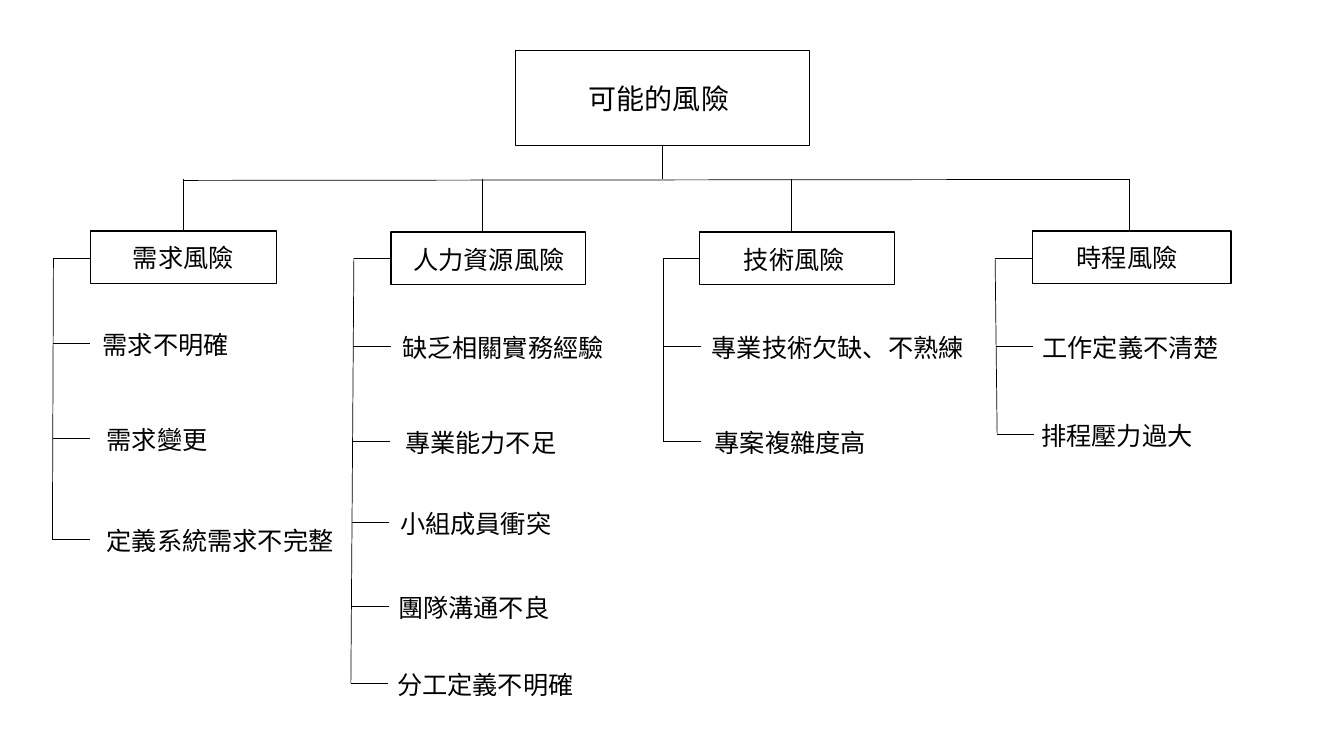
from dataclasses import dataclass

from pptx import Presentation
from pptx.dml.color import RGBColor
from pptx.enum.shapes import MSO_CONNECTOR as LINK, MSO_SHAPE as SHAPE
from pptx.enum.text import MSO_ANCHOR as ANCHOR, PP_ALIGN as ALIGN
from pptx.oxml.ns import qn
from pptx.util import Inches, Pt
from lxml.etree import SubElement

BLACK = RGBColor(0, 0, 0)
WHITE = RGBColor(255, 255, 255)
FRAME = dict(word_wrap=True, vertical_anchor=ANCHOR.TOP,
             margin_left=Inches(0.1), margin_right=Inches(0.1),
             margin_top=Inches(0.05), margin_bottom=Inches(0.05))
BAR_Y = 1.78   # bar that joins the branches
HEAD_Y = 2.56  # middle of the branch boxes
BOX_H = 0.52
TEXT_H = 0.4
TICK = 0.37


@dataclass
class Branch:
    """One kind of risk: box, heading, spine and leaves."""
    name: str
    label: tuple   # left, top, width
    box: tuple     # left, top, width
    stem: float
    spine: tuple   # x at the top and at the foot
    leaves: list   # text, left, top, width


BRANCHES = [
    Branch("需求風險", (1.22, 2.35, 1.21), (0.9, 2.29, 1.84), 1.82, (0.53, 0.52), [
        ("需求不明確", 0.92, 3.22, 1.75),
        ("需求變更", 0.96, 4.16, 1.89),
        ("定義系統需求不完整", 0.96, 5.16, 2.49)]),
    Branch("人力資源風險", (4, 2.37, 2), (3.88, 2.3, 1.93), 4.78, (3.51, 3.48), [
        ("缺乏相關實務經驗", 3.89, 3.25, 2.5),
        ("專業能\uf98a不足", 3.92, 4.19, 2.5),
        ("小組成員衝突", 3.87, 4.99, 2.31),
        ("團隊溝通不\uf97c", 3.85, 5.83, 2.31),
        ("分工定義不明確", 3.84, 6.59, 2.31)]),
    Branch("技術風險", (7.28, 2.37, 2), (6.94, 2.3, 1.93), 7.85, (6.58, 6.58), [
        ("專業技術欠缺、不熟練", 6.96, 3.25, 2.88),
        ("專案複雜度高", 6.99, 4.19, 2.5)]),
    Branch("時程風險", (10.58, 2.35, 1.39), (10.24, 2.29, 1.97), 11.2, (9.87, 9.89), [
        ("工作定義不清楚", 10.24, 3.25, 3.19),
        ("排程壓\uf98a過大", 10.23, 4.12, 2.16)]),
]


def apply(item, values):
    """Set attributes from a dict."""
    for key, value in values.items():
        setattr(item, key, value)


def write(shape, text, size):
    """Put one line of black text in a shape."""
    frame = shape.text_frame
    frame.text = text
    apply(frame, FRAME)
    line = frame.paragraphs[0]
    line.alignment = ALIGN.LEFT
    apply(line.runs[0].font, dict(name="Calibri", size=Pt(size)))
    line.runs[0].font.color.rgb = BLACK


def add_text(slide, text, left, top, width):
    """Add a text box for a heading or a leaf."""
    area = map(Inches, (left, top, width, TEXT_H))
    write(slide.shapes.add_textbox(*area), text, 18)


def add_box(slide, left, top, width, height, weight, fill=None):
    """Add an outlined box."""
    area = map(Inches, (left, top, width, height))
    box = slide.shapes.add_shape(SHAPE.RECTANGLE, *area)
    box.shadow.inherit = False
    if fill is None:
        box.fill.background()
    else:
        box.fill.solid()
        box.fill.fore_color.rgb = fill
    box.line.color.rgb = BLACK
    box.line.width = Pt(weight)


def add_line(slide, *ends):
    """Add a thin line from x, y to x, y."""
    line = slide.shapes.add_connector(LINK.STRAIGHT, *map(Inches, ends))
    line.line.color.rgb = BLACK
    line.line.width = Pt(0.5)
    SubElement(line._element.spPr, qn("a:effectLst"))


def add_root(slide):
    """Add the title, its box and the bar below."""
    title = slide.shapes.title
    apply(title, dict(left=Inches(5.74), top=Inches(0.76),
                      width=Inches(1.66), height=Inches(0.44)))
    write(title, "可能的風險", 20)
    add_box(slide, 5.11, 0.5, 2.92, 0.94, 0.75)
    add_line(slide, 6.57, 1.44, 6.57, BAR_Y)
    add_line(slide, BRANCHES[0].stem, BAR_Y + 0.01, BRANCHES[-1].stem, BAR_Y)


def add_branch(slide, branch):
    """Add a branch with a tick from its spine to each leaf."""
    add_line(slide, branch.stem, BAR_Y, branch.stem, branch.box[1])
    ticks = [HEAD_Y] + [top + TEXT_H / 2 - 0.01 for _, _, top, _ in branch.leaves]
    head, foot = branch.spine
    add_line(slide, head, HEAD_Y, foot, ticks[-1])
    for y in ticks:
        x = head + (foot - head) * (y - HEAD_Y) / (ticks[-1] - HEAD_Y)
        add_line(slide, x, y, x + TICK, y)
    add_box(slide, *branch.box, BOX_H, 1, WHITE)
    add_text(slide, branch.name, *branch.label)
    for leaf in branch.leaves:
        add_text(slide, *leaf)


def main():
    """Build the risk tree and save it."""
    deck = Presentation()
    apply(deck, dict(slide_width=Inches(13.33), slide_height=Inches(7.5)))
    slide = deck.slides.add_slide(deck.slide_layouts[5])
    add_root(slide)
    for branch in BRANCHES:
        add_branch(slide, branch)
    deck.save("out.pptx")


main()
